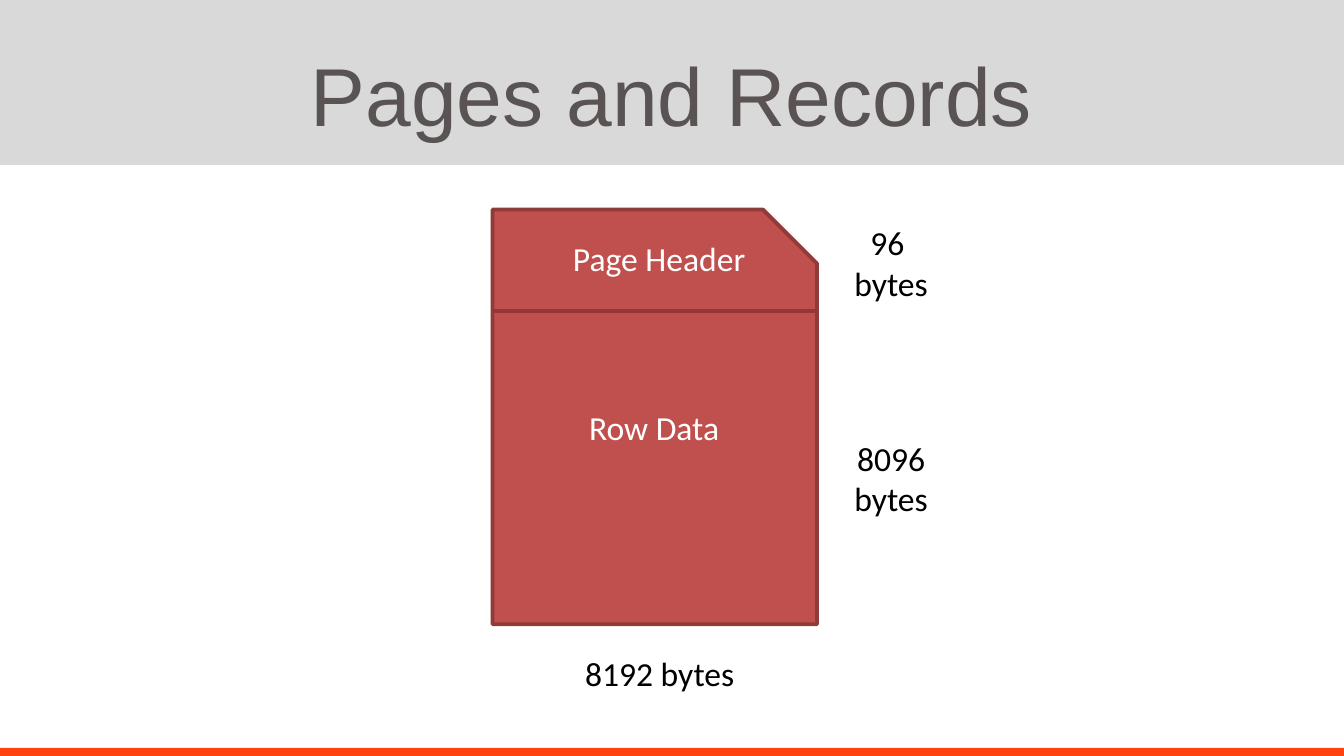
from lxml import etree
from pptx import Presentation
from pptx import util as u
from pptx.dml import color
from pptx.enum import shapes, text
from pptx.oxml import ns

PX = 4572  # EMU per px, 200 px to the inch
WIDTH, HEIGHT = 2000, 1125
LEFT, CENTER = text.PP_ALIGN.LEFT, text.PP_ALIGN.CENTER
WHITE, BLACK = "FFFFFF", "000000"


def px(*values):
    return [u.Emu(v * PX) for v in values]


def rgb(value):
    return color.RGBColor.from_string(value)


def add_block(s, kind, box, fill, line=None, weight=2):
    sp = s.shapes.add_shape(kind, *px(*box))
    sp.shadow.inherit = False
    sp.fill.solid()
    sp.fill.fore_color.rgb = rgb(fill)
    if line:
        sp.line.color.rgb = rgb(line)
        sp.line.width = u.Pt(weight)
    else:
        sp.line.fill.background()


def add_divider(s, start, end, line, weight):
    c = s.shapes.add_connector(shapes.MSO_CONNECTOR.STRAIGHT, *px(*start, *end))
    c.line.color.rgb = rgb(line)
    c.line.width = u.Pt(weight)
    etree.SubElement(c.element.spPr, ns.qn("a:effectLst"))


def add_text(s, box, paragraphs, fill, align=LEFT, size=18, font="Calibri",
             anchor=text.MSO_ANCHOR.TOP, wrap=False):
    """Add a text box; a newline inside a paragraph becomes a line break."""
    tf = s.shapes.add_textbox(*px(*box)).text_frame
    tf.word_wrap = wrap
    tf.vertical_anchor = anchor
    for i, paragraph in enumerate(paragraphs):
        p = tf.add_paragraph() if i else tf.paragraphs[0]
        p.alignment = align
        for j, line in enumerate(paragraph.split("\n")):
            if j:
                p.add_line_break()
            r = p.add_run()
            r.text = line
            r.font.name = font
            r.font.size = u.Pt(size)
            r.font.color.rgb = rgb(fill)


def add_frame(s):
    rect = shapes.MSO_SHAPE.RECTANGLE
    footer = 12
    add_block(s, rect, (0, HEIGHT - footer, WIDTH, footer), "FE4210")
    add_block(s, rect, (0, 0, WIDTH, 246), "D9D9D9")
    add_text(s, (100, 46, 1800, 188), ["Pages and Records"], "595353", CENTER,
             44, "Arial", text.MSO_ANCHOR.MIDDLE, True)


def add_page_diagram(s):
    left, top, width, height = 733, 312, 483, 617
    split = 463
    add_block(s, shapes.MSO_SHAPE.SNIP_1_RECTANGLE, (left, top, width, height),
              "C0504D", "8E3B39")
    add_text(s, (833, 344, 300, 80), ["Page Header"], WHITE)
    add_text(s, (857, 596, 236, 80), ["Row Data"], WHITE)
    add_divider(s, (left, split), (left + width, split), "953735", 2.25)


def add_sizes(s):
    add_text(s, (1251, 321, 150, 142), ["96 ", "bytes"], BLACK, CENTER)
    add_text(s, (1251, 642, 150, 142), ["8096\nbytes"], BLACK, CENTER)
    add_text(s, (851, 962, 264, 80), ["8192 bytes"], BLACK)


def main():
    prs = Presentation()
    prs.slide_width, prs.slide_height = px(WIDTH, HEIGHT)
    s = prs.slides.add_slide(prs.slide_layouts[6])
    add_frame(s)
    add_page_diagram(s)
    add_sizes(s)
    prs.save("out.pptx")


if __name__ == "__main__":
    main()
